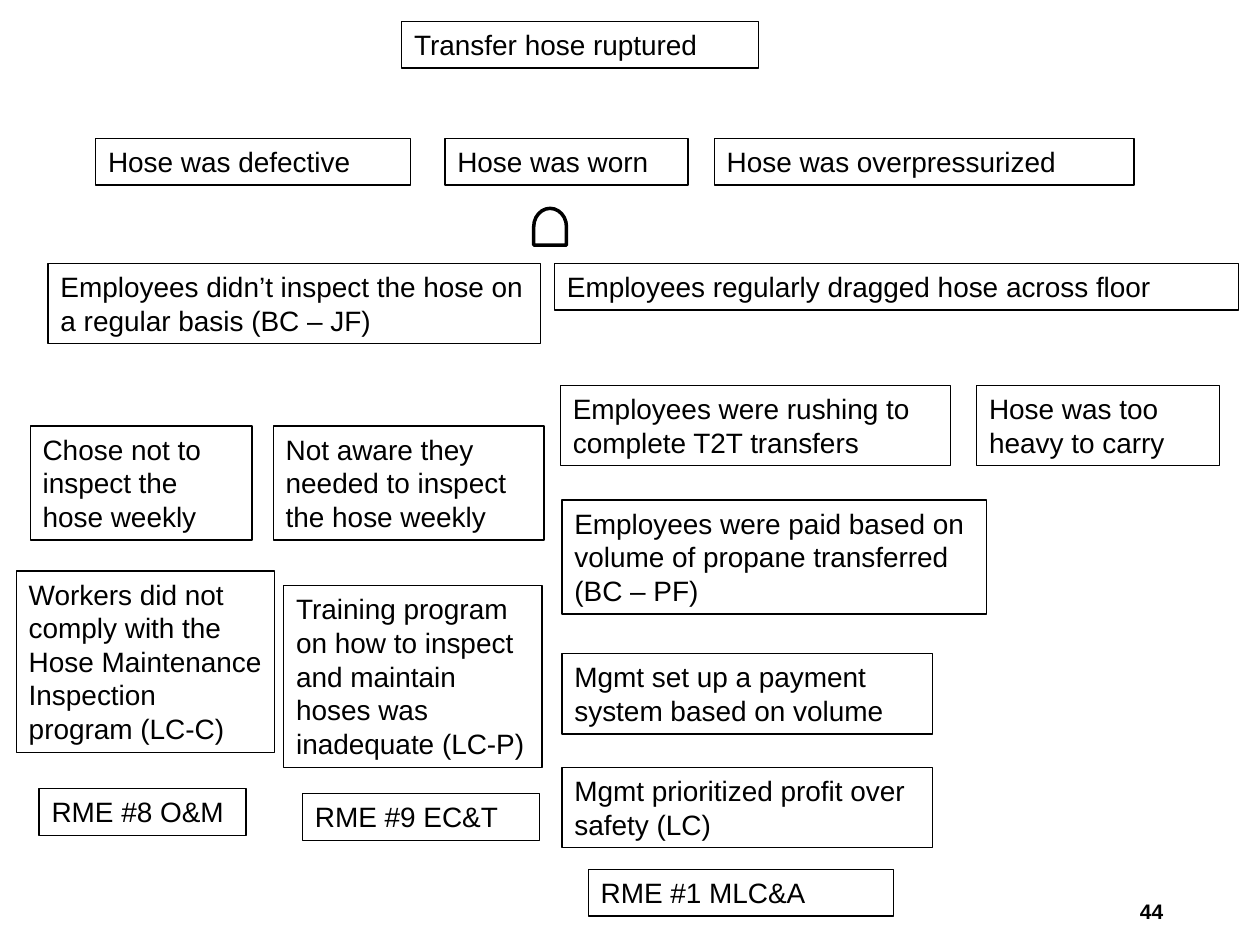
from pptx import Presentation
from pptx.dml.color import RGBColor
from pptx.enum.shapes import MSO_SHAPE as Shape
from pptx.enum.text import MSO_ANCHOR as Anchor, MSO_AUTO_SIZE as AutoSize, PP_ALIGN as Align
from pptx.util import Cm, Pt

THEME = {
    "font": "Arial",
    "ink": RGBColor(0, 0, 0),
    "paper": RGBColor(255, 255, 255),
    "cause_size": Pt(16),
    "number_size": Pt(12),
    "box_line": Pt(0.75),
    "gate_line": Pt(2),
}

CAUSES = [
    (8.1, 0.43, 7.19, 1, "Transfer hose ruptured"),
    (1.93, 2.79, 6.35, 1, "Hose was defective"),
    (8.97, 2.79, 4.9, 1, "Hose was worn"),
    (14.4, 2.79, 8.46, 1, "Hose was overpressurized"),
    (0.97, 5.31, 9.93, 2, "Employees didn’t inspect the hose on a regular basis (BC – JF)"),
    (11.18, 5.31, 13.79, 1, "Employees regularly dragged hose across floor"),
    (0.61, 8.59, 4.47, 3, "Chose not to inspect the hose weekly"),
    (5.51, 8.59, 5.46, 3, "Not aware they needed to inspect the hose weekly"),
    (11.3, 7.77, 7.87, 2, "Employees were rushing to complete T2T transfers"),
    (19.69, 7.77, 4.9, 2, "Hose was too heavy to carry"),
    (0.33, 11.51, 5.21, 5,
     "Workers did not comply with the Hose Maintenance Inspection program (LC-C)"),
    (5.72, 11.81, 5.21, 5,
     "Training program on how to inspect and maintain hoses was inadequate (LC-P)"),
    (11.33, 10.08, 8.56, 3,
     "Employees were paid based on volume of propane transferred (BC – PF)"),
    (11.33, 13.18, 7.47, 2, "Mgmt set up a payment system based on volume"),
    (11.33, 15.47, 7.47, 2, "Mgmt prioritized profit over safety (LC)"),
    (0.79, 15.9, 4.17, 1, "RME #8 O&M"),
    (6.1, 16, 4.78, 1, "RME #9 EC&T"),
    (11.86, 17.53, 6.15, 1, "RME #1 MLC&A"),
]
AND_GATE = (10.72, 4.24, 0.74, 0.66)
PAGE_NUMBER = (21.16, 17.98, 2.54, 0.64, "44")
LINE_HEIGHT = 0.68
BOX_PADDING = 0.26


def write(box, text, size, align, bold=False):
    frame = box.text_frame
    frame.text = text
    frame.word_wrap = True
    frame.vertical_anchor = Anchor.TOP
    para = frame.paragraphs[0]
    para.alignment = align
    for span in para.runs:
        span.font.name = THEME["font"]
        span.font.size = size
        span.font.bold = bold
        span.font.color.rgb = THEME["ink"]


def add_outlined(page, kind, place, line_width):
    shape = page.shapes.add_shape(kind, *map(Cm, place))
    shape.shadow.inherit = False
    shape.fill.solid()
    shape.fill.fore_color.rgb = THEME["paper"]
    shape.line.color.rgb = THEME["ink"]
    shape.line.width = line_width
    return shape


def add_cause(page, left, top, width, lines, text):
    height = BOX_PADDING + LINE_HEIGHT * lines
    box = add_outlined(page, Shape.RECTANGLE, (left, top, width, height), THEME["box_line"])
    write(box, text, THEME["cause_size"], Align.LEFT)
    box.text_frame.auto_size = AutoSize.SHAPE_TO_FIT_TEXT


def main():
    deck = Presentation()
    deck.slide_width, deck.slide_height = Cm(25.4), Cm(19.05)
    page = deck.slides.add_slide(deck.slide_layouts[6])
    for cause in CAUSES:
        add_cause(page, *cause)
    gate = add_outlined(page, Shape.FLOWCHART_DELAY, AND_GATE, THEME["gate_line"])
    gate.rotation = 270
    *place, number = PAGE_NUMBER
    box = page.shapes.add_textbox(*map(Cm, place))
    write(box, number, THEME["number_size"], Align.RIGHT, bold=True)
    deck.save("out.pptx")


if __name__ == "__main__":
    main()
